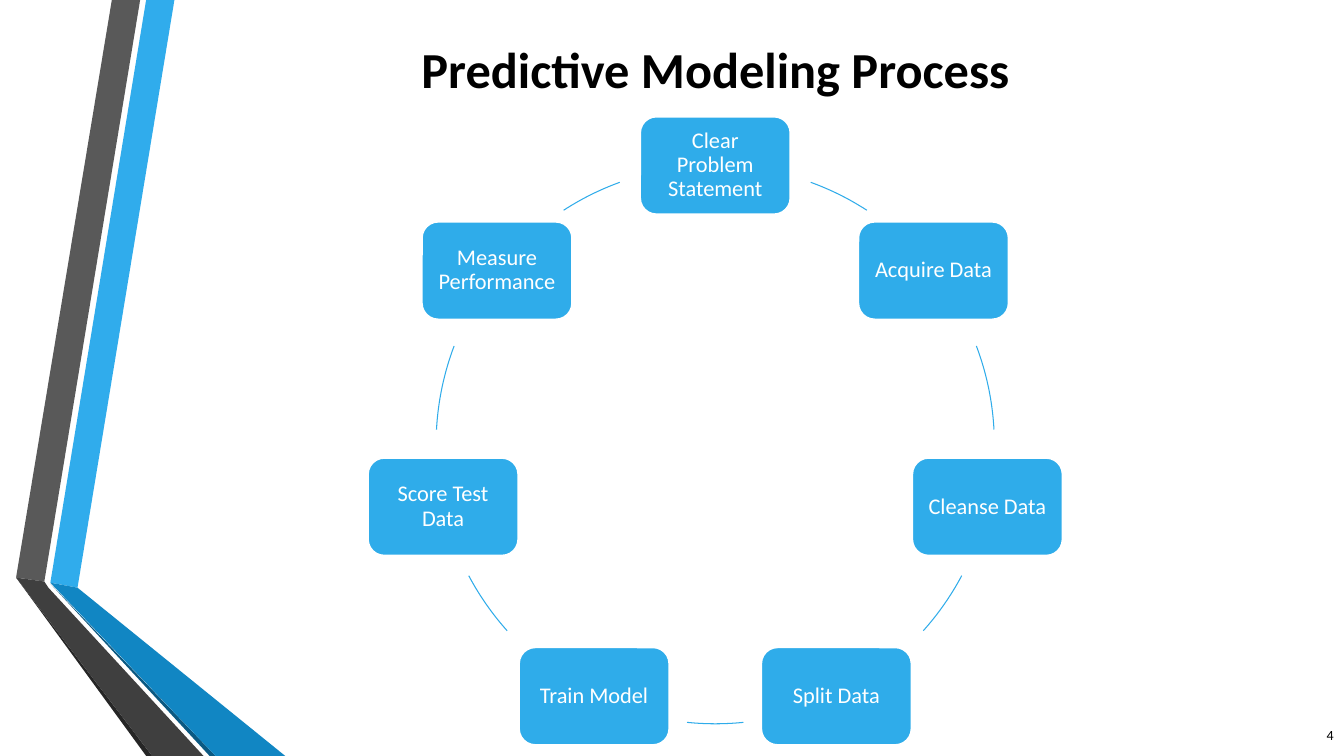
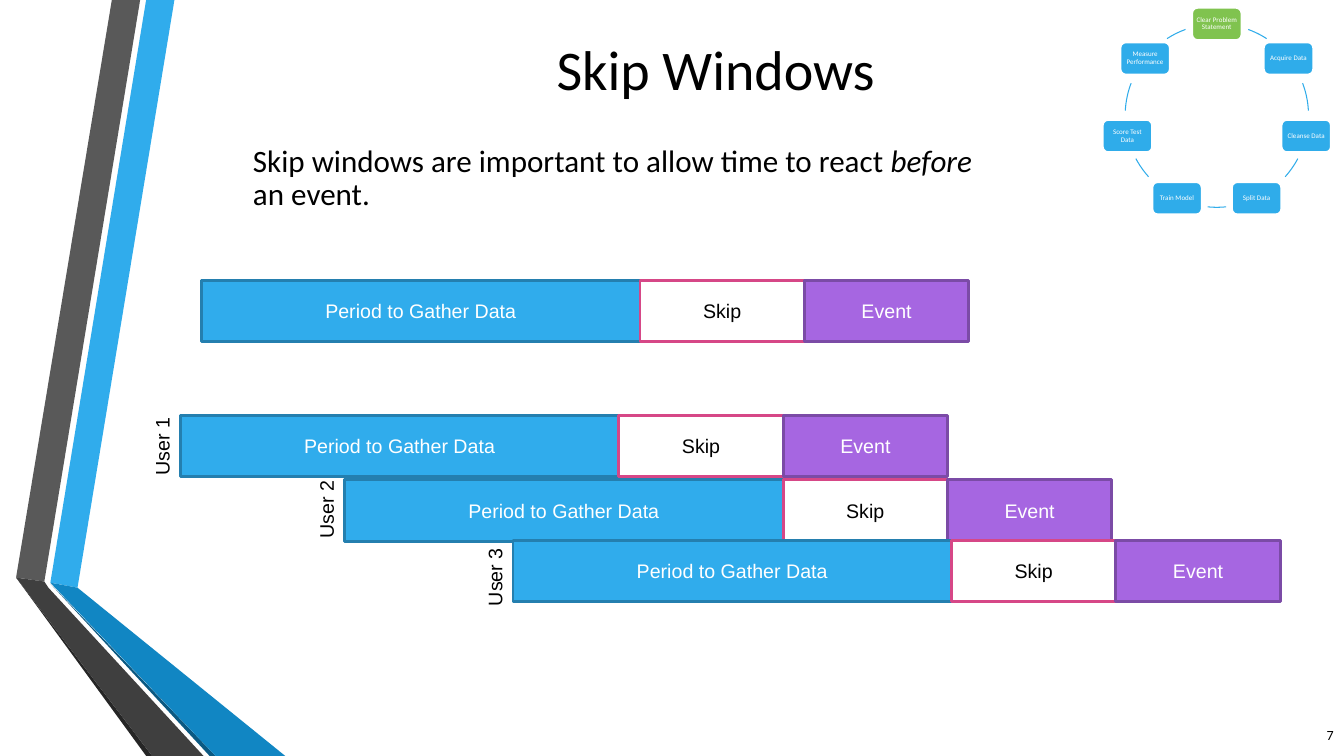
"""Build two slides on the predictive modeling process and skip windows."""
from dataclasses import dataclass
from math import cos, pi, sin

from lxml.etree import SubElement
from pptx import Presentation
from pptx.dml.color import RGBColor
from pptx.enum.shapes import MSO_SHAPE
from pptx.enum.text import MSO_ANCHOR, MSO_AUTO_SIZE, PP_ALIGN
from pptx.oxml.ns import qn
from pptx.presentation import Presentation as Deck
from pptx.shapes.autoshape import Shape
from pptx.slide import Slide
from pptx.text.text import TextFrame
from pptx.util import Pt

BLACK = RGBColor(0x00, 0x00, 0x00)
WHITE = RGBColor(0xFF, 0xFF, 0xFF)
SKY = RGBColor(0x30, 0xAC, 0xEC)
STEP_BLUE = RGBColor(0x2F, 0xAC, 0xEA)
STEP_GREEN = RGBColor(0x80, 0xC3, 0x4F)
OCEAN = RGBColor(0x11, 0x86, 0xC3)
NAVY = RGBColor(0x0B, 0x59, 0x82)
GREY = RGBColor(0x59, 0x59, 0x59)
CHARCOAL = RGBColor(0x3F, 0x3F, 0x3F)
SOOT = RGBColor(0x26, 0x26, 0x26)
GATHER_EDGE = RGBColor(0x24, 0x7F, 0xAF)
SKIP_EDGE = RGBColor(0xD6, 0x47, 0x87)
EVENT_FILL = RGBColor(0xA6, 0x66, 0xE1)
EVENT_EDGE = RGBColor(0x7B, 0x4B, 0xA6)

STEPS = ("Clear Problem Statement", "Acquire Data", "Cleanse Data", "Split Data",
         "Train Model", "Score Test Data", "Measure Performance")
ARC_SPANS = ((20, 32.9), (69.3, 86.9), (118, 131.8), (174.2, 185.8),
             (228.2, 242), (273.1, 290.7), (327.1, 340))
PERIOD_HEIGHT = 43.9


@dataclass(frozen=True)
class Font:
    """Look of a run."""

    name: str
    size: float
    color: RGBColor
    bold: bool = False
    italic: bool = False


@dataclass(frozen=True)
class Ribbon:
    """One coloured facet of the folded bands on the left."""

    color: RGBColor
    corners: tuple[tuple[float, float], ...]


@dataclass(frozen=True)
class Ring:
    """Place and scale of the process cycle."""

    center_x: float
    center_y: float
    radius: float
    step_width: float
    step_height: float
    inset: float
    text_size: float
    first_fill: RGBColor = STEP_BLUE


@dataclass(frozen=True)
class Period:
    """One segment of a timeline."""

    text: str
    width: float
    fill: RGBColor
    edge: RGBColor
    color: RGBColor


@dataclass(frozen=True)
class Timeline:
    """Place and optional user label of a row of periods."""

    left: float
    top: float
    user: str = ""
    label_drop: float = 0


RIBBONS = (
    Ribbon(SKY, ((36, 416.2), (55.4, 419.8), (124.6, 0), (104.4, 0))),
    Ribbon(GREY, ((100.1, 0), (79.9, 0), (11.5, 412.6), (31.7, 415.4))),
    Ribbon(SOOT, ((11.5, 412.6), (104.4, 540), (108.7, 540))),
    Ribbon(NAVY, ((36, 416.9), (149.8, 540), (154.1, 540))),
    Ribbon(OCEAN, ((36, 416.2), (154.1, 540), (203.8, 540), (55.4, 419.8))),
    Ribbon(CHARCOAL, ((145.4, 540), (34.6, 419.8), (31.7, 415.4),
                      (11.5, 412.6), (108.7, 540))),
)
PERIODS = (
    Period("Period to Gather Data", 313.2, SKY, GATHER_EDGE, WHITE),
    Period("Skip", 117.4, WHITE, SKIP_EDGE, BLACK),
    Period("Event", 117.4, EVENT_FILL, EVENT_EDGE, WHITE),
)
TIMELINES = (
    Timeline(144, 200.2),
    Timeline(128.9, 296.6, "User 1"),
    Timeline(246.2, 342.7, "User 2", -1),
    Timeline(366.5, 385.9, "User 3", 4),
)
MAIN_RING = Ring(510.9, 317.6, 199.4, 107.3, 69.7, 4.8, 16)
SMALL_RING = Ring(869.2, 82.6, 65.5, 35.2, 23, 1.4, 5, STEP_GREEN)


def place(shape: Shape, left: float, top: float, width: float, height: float) -> None:
    """Move and size a shape."""
    shape.left, shape.top = Pt(left), Pt(top)
    shape.width, shape.height = Pt(width), Pt(height)


def set_insets(frame: TextFrame, across: float, down: float) -> None:
    """Set the horizontal and vertical insets of a text frame."""
    frame.margin_left = frame.margin_right = Pt(across)
    frame.margin_top = frame.margin_bottom = Pt(down)


def write(frame: TextFrame, align: PP_ALIGN, *runs: tuple[str, Font],
          spacing: float = 1.0) -> None:
    """Fill the first paragraph of a frame run by run."""
    paragraph = frame.paragraphs[0]
    paragraph.alignment = align
    paragraph.line_spacing = spacing
    paragraph.space_before = Pt(0)
    for text, look in runs:
        run = paragraph.add_run()
        run.text = text
        run.font.name = look.name
        run.font.size = Pt(look.size)
        run.font.bold = look.bold
        run.font.italic = look.italic
        run.font.color.rgb = look.color


def add_block(slide: Slide, kind: MSO_SHAPE, left: float, top: float, width: float,
              height: float, fill: RGBColor, edge: RGBColor, weight: float) -> Shape:
    """Add a filled, outlined shape with middle-anchored text."""
    block = slide.shapes.add_shape(kind, Pt(left), Pt(top), Pt(width), Pt(height))
    block.shadow.inherit = False
    block.fill.solid()
    block.fill.fore_color.rgb = fill
    block.line.color.rgb = edge
    block.line.width = Pt(weight)
    block.text_frame.word_wrap = True
    block.text_frame.vertical_anchor = MSO_ANCHOR.MIDDLE
    return block


def add_ribbons_to_master(deck: Deck, slide: Slide) -> None:
    """Draw the folded bands once and hand them to the slide master."""
    for ribbon in RIBBONS:
        start, *others = [(Pt(x), Pt(y)) for x, y in ribbon.corners]
        builder = slide.shapes.build_freeform(*start)
        builder.add_line_segments(others, close=True)
        facet = builder.convert_to_shape()
        facet.shadow.inherit = False
        facet.fill.solid()
        facet.fill.fore_color.rgb = ribbon.color
        facet.line.fill.background()
        deck.slide_master.shapes.element.append(facet.element)


def add_heading(slide: Slide, text: str, size: float, bold: bool = False) -> None:
    """Fill the title placeholder."""
    heading = slide.shapes.title
    place(heading, 116.6, 23, 789.1, 51.8)
    frame = heading.text_frame
    frame.auto_size = MSO_AUTO_SIZE.NONE
    frame.vertical_anchor = MSO_ANCHOR.MIDDLE
    set_insets(frame, 7.2, 3.6)
    write(frame, PP_ALIGN.CENTER, (text, Font("Calibri", size, BLACK, bold)))


def add_page_number(slide: Slide, number: int) -> None:
    """Write the page number in the bottom right corner."""
    page = slide.shapes.add_textbox(Pt(916.6), Pt(510.5), Pt(43.2), Pt(28.8))
    page.text_frame.word_wrap = True
    page.text_frame.vertical_anchor = MSO_ANCHOR.MIDDLE
    write(page.text_frame, PP_ALIGN.RIGHT, (str(number), Font("Calibri", 10, BLACK)))


def add_ring(slide: Slide, ring: Ring) -> None:
    """Draw the process steps around a circle with arcs between them."""
    look = Font("Calibri", ring.text_size, WHITE)
    for index, (step, span) in enumerate(zip(STEPS, ARC_SPANS)):
        angle = 2 * pi * index / len(STEPS)
        box = add_block(
            slide, MSO_SHAPE.ROUNDED_RECTANGLE,
            ring.center_x + ring.radius * sin(angle) - ring.step_width / 2,
            ring.center_y - ring.radius * cos(angle) - ring.step_height / 2,
            ring.step_width, ring.step_height,
            STEP_BLUE if index else ring.first_fill, WHITE, 1.25)
        set_insets(box.text_frame, ring.inset, 0)
        write(box.text_frame, PP_ALIGN.CENTER, (step, look), spacing=0.9)

        arc = slide.shapes.add_shape(
            MSO_SHAPE.ARC, Pt(ring.center_x - ring.radius),
            Pt(ring.center_y - ring.radius), Pt(2 * ring.radius), Pt(2 * ring.radius))
        arc.shadow.inherit = False
        arc.fill.background()
        arc.line.color.rgb = STEP_BLUE
        arc.line.width = Pt(0.75)
        for end, degrees in enumerate(span):
            arc.adjustments[end] = (degrees - 90) % 360 * 0.6


def add_timeline(slide: Slide, timeline: Timeline) -> None:
    """Draw adjoining periods and the turned user label."""
    left = timeline.left
    for period in PERIODS:
        bar = add_block(slide, MSO_SHAPE.RECTANGLE, left, timeline.top, period.width,
                        PERIOD_HEIGHT, period.fill, period.edge, 2)
        write(bar.text_frame, PP_ALIGN.CENTER,
              (period.text, Font("Arial", 14, period.color)))
        left += period.width
    if timeline.user:
        width, height = 56.2, 24.5
        middle = timeline.top + PERIOD_HEIGHT / 2 + timeline.label_drop
        user = slide.shapes.add_textbox(
            Pt(timeline.left - 13 - width / 2), Pt(middle - height / 2),
            Pt(width), Pt(height))
        user.rotation = 270
        user.text_frame.word_wrap = False
        user.text_frame.auto_size = MSO_AUTO_SIZE.SHAPE_TO_FIT_TEXT
        write(user.text_frame, PP_ALIGN.LEFT, (timeline.user, Font("Arial", 14, BLACK)))


def add_statement(slide: Slide) -> None:
    """Fill the body placeholder with an unbulleted sentence."""
    body = slide.placeholders[1]
    place(body, 173.5, 100.1, 547.2, 401)
    frame = body.text_frame
    frame.auto_size = MSO_AUTO_SIZE.NONE
    set_insets(frame, 7.2, 3.6)
    plain = Font("Calibri", 22.2, BLACK)
    write(frame, PP_ALIGN.LEFT,
          ("Skip windows are important to allow time to react ", plain),
          ("before", Font("Calibri", 22.2, BLACK, italic=True)),
          (" an event.", plain), spacing=0.9)
    properties = frame.paragraphs[0]._p.get_or_add_pPr()
    properties.set("marL", "0")
    properties.set("indent", "0")
    SubElement(properties, qn("a:buNone"))


def main() -> None:
    """Build and save the deck."""
    deck = Presentation()
    deck.slide_width, deck.slide_height = Pt(960), Pt(540)

    process = deck.slides.add_slide(deck.slide_layouts[5])
    add_ribbons_to_master(deck, process)
    add_heading(process, "Predictive Modeling Process", 36, bold=True)
    add_page_number(process, 4)
    add_ring(process, MAIN_RING)

    windows = deck.slides.add_slide(deck.slide_layouts[1])
    add_heading(windows, "Skip Windows", 40)
    add_statement(windows)
    add_page_number(windows, 7)
    add_ring(windows, SMALL_RING)
    for timeline in TIMELINES:
        add_timeline(windows, timeline)

    deck.save("out.pptx")


if __name__ == "__main__":
    main()
